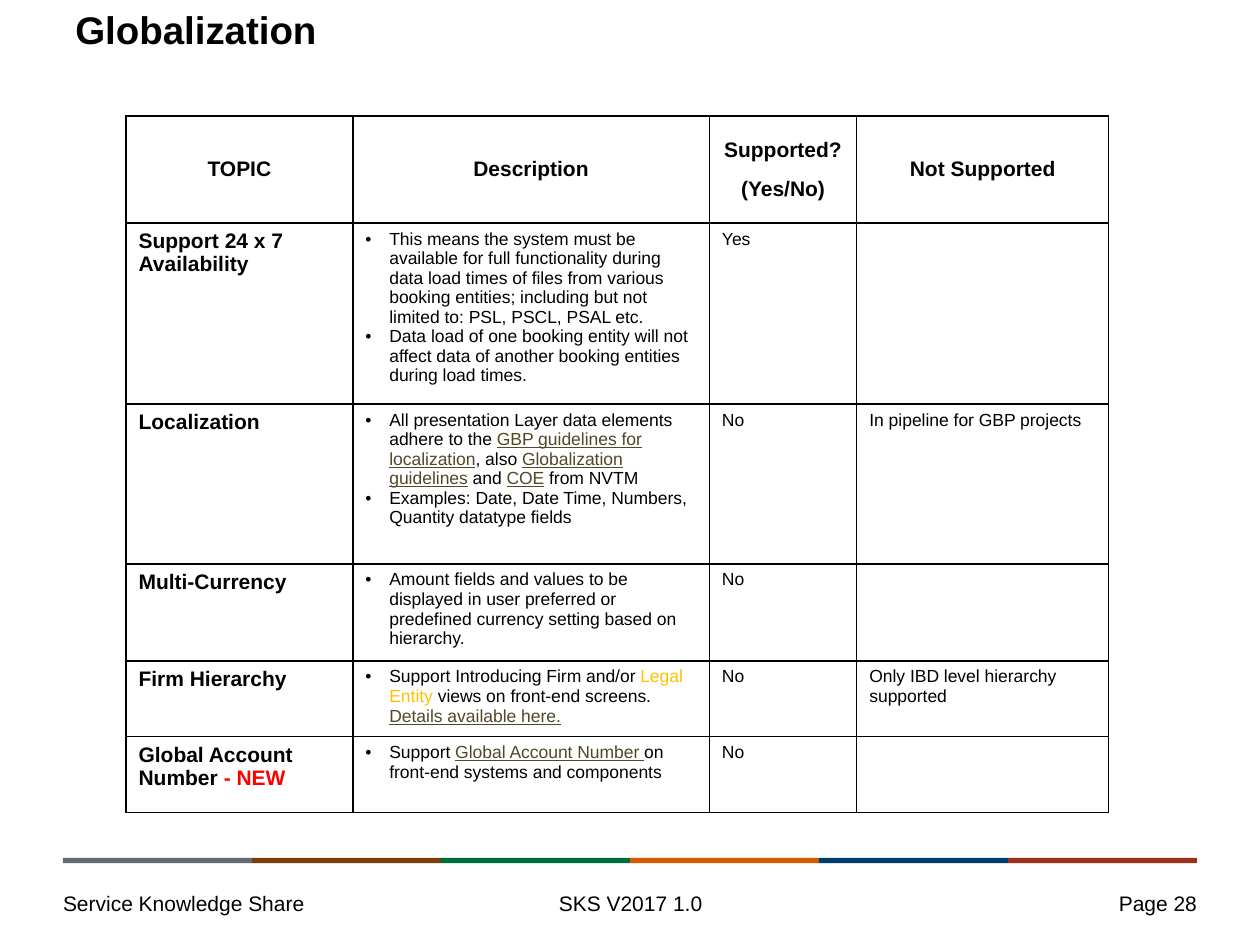
"""Build the Globalization support table slide."""
from lxml import etree
from pptx import Presentation
from pptx.dml.color import RGBColor
from pptx.enum import shapes, text
from pptx.oxml import ns
from pptx.util import Inches, Pt

BLACK = RGBColor(0x00, 0x00, 0x00)
OLIVE = RGBColor(0x51, 0x48, 0x26)
GOLD = RGBColor(0xFF, 0xC0, 0x00)
RED = RGBColor(0xFF, 0x00, 0x00)
STRIPES = [RGBColor.from_string(c) for c in
           ("636B70", "784008", "006B3F", "D95900", "003D6E", "9C301A")]

LINK = {"color": OLIVE, "underline": True}
HEADING = {"size": 12, "bold": True}
BODY = {"size": 10}
FOOTING = {"size": 12}
LEFT, CENTER, RIGHT = text.PP_ALIGN.LEFT, text.PP_ALIGN.CENTER, text.PP_ALIGN.RIGHT
MIDDLE = text.MSO_ANCHOR.MIDDLE

HEADER = [["TOPIC"], ["Description"], ["Supported?", "(Yes/No)"], ["Not Supported"]]
TOPICS = [
    (["Support 24 x 7 Availability"],
     ["This means the system must be available for full functionality during data load "
      "times of files from various booking entities; including but not limited to: "
      "PSL, PSCL, PSAL etc.",
      "Data load of one booking entity will not affect data of another booking entities "
      "during load times."],
     ["Yes"], []),
    (["Localization"],
     [["All presentation Layer data elements adhere to the ",
       ("GBP guidelines for localization", LINK), ", also ",
       ("Globalization guidelines", LINK), " and ", ("COE", LINK), " from NVTM"],
      "Examples: Date, Date Time, Numbers, Quantity datatype fields"],
     ["No"], ["In pipeline for GBP projects"]),
    (["Multi-Currency"],
     ["Amount fields and values to be displayed in user preferred or predefined currency "
      "setting based on hierarchy."],
     ["No"], []),
    (["Firm Hierarchy"],
     [["Support Introducing Firm and/or ", ("Legal Entity", {"color": GOLD}),
       " views on front-end screens. ", ("Details available here.", LINK)]],
     ["No"], ["Only IBD level hierarchy supported"]),
    ([["Global Account Number ", ("- NEW", {"color": RED})]],
     [["Support ", ("Global Account Number ", LINK),
       "on front-end systems and components"]],
     ["No"], []),
]
COLUMN_WIDTHS = [1.8, 2.83, 1.17, 2]
ROW_HEIGHTS = [0.85, 1.43, 1.27, 0.77, 0.6, 0.6]
LABELS = [
    ("Globalization", (0.5, 0, 9, 0.47), LEFT, {"size": 22, "bold": True}, {}),
    ("Service Knowledge Share", (0.5, 7, 3.75, 0.33), LEFT, FOOTING, {"margin_left": 0}),
    ("SKS V2017 1.0", (3.42, 7, 3.17, 0.33), CENTER, FOOTING, {}),
    ("Page 28", (8.42, 7, 1.08, 0.33), RIGHT, FOOTING, {"margin_right": 0}),
]


def write(frame, paragraphs, style, align=LEFT, gap=0, bulleted=False):
    for index, parts in enumerate(paragraphs):
        paragraph = frame.paragraphs[0] if index == 0 else frame.add_paragraph()
        paragraph.alignment = align
        if index and gap:
            paragraph.space_before = Pt(gap)
        if bulleted:
            properties = paragraph._p.get_or_add_pPr()
            properties.set("marL", str(Inches(0.19)))
            properties.set("indent", str(Inches(-0.19)))
            etree.SubElement(properties, ns.qn("a:buFont")).set("typeface", "Arial")
            etree.SubElement(properties, ns.qn("a:buChar")).set("char", "•")
        for part in [parts] if isinstance(parts, str) else parts:
            words, accent = (part, {}) if isinstance(part, str) else part
            look = {"color": BLACK, **style, **accent}
            run = paragraph.add_run()
            run.text = words
            run.font.name = "Arial"
            run.font.color.rgb = look.pop("color")
            run.font.size = Pt(look.pop("size"))
            for name, value in look.items():
                setattr(run.font, name, value)


def outline(cell):
    properties = cell._tc.get_or_add_tcPr()
    for side in ("lnL", "lnR", "lnT", "lnB"):
        line = etree.SubElement(properties, ns.qn(f"a:{side}"), w=str(Pt(1)))
        fill = etree.SubElement(line, ns.qn("a:solidFill"))
        etree.SubElement(fill, ns.qn("a:srgbClr"), val=str(BLACK))
    cell.fill.background()


def add_topics(slide):
    table = slide.shapes.add_table(
        len(ROW_HEIGHTS), len(COLUMN_WIDTHS), Inches(1), Inches(0.92),
        Inches(sum(COLUMN_WIDTHS)), Inches(sum(ROW_HEIGHTS))).table
    table.first_row = table.horz_banding = False
    for column, width in zip(table.columns, COLUMN_WIDTHS):
        column.width = Inches(width)
    for row, height in zip(table.rows, ROW_HEIGHTS):
        row.height = Inches(height)
    for r, contents in enumerate([HEADER, *TOPICS]):
        for c, paragraphs in enumerate(contents):
            cell = table.cell(r, c)
            outline(cell)
            if r == 0:
                cell.vertical_anchor = MIDDLE
                write(cell.text_frame, paragraphs, HEADING, CENTER, gap=8.5)
            else:
                write(cell.text_frame, paragraphs, BODY if c else HEADING,
                      bulleted=c == 1)


def main():
    deck = Presentation()
    deck.slide_width, deck.slide_height = Inches(10), Inches(7.5)
    slide = deck.slides.add_slide(deck.slide_layouts[6])
    for index, color in enumerate(STRIPES):
        stripe = slide.shapes.add_shape(
            shapes.MSO_SHAPE.RECTANGLE, Inches(0.5 + 1.5 * index), Inches(6.81),
            Inches(1.5), Inches(0.04))
        stripe.shadow.inherit = False
        stripe.fill.solid()
        stripe.fill.fore_color.rgb = color
        stripe.line.fill.background()
    for words, place, align, style, margins in LABELS:
        frame = slide.shapes.add_textbox(*map(Inches, place)).text_frame
        settings = {"word_wrap": True, "vertical_anchor": MIDDLE, **margins}
        for name, value in settings.items():
            setattr(frame, name, value)
        write(frame, [words], style, align)
    add_topics(slide)
    deck.save("out.pptx")


if __name__ == "__main__":
    main()
